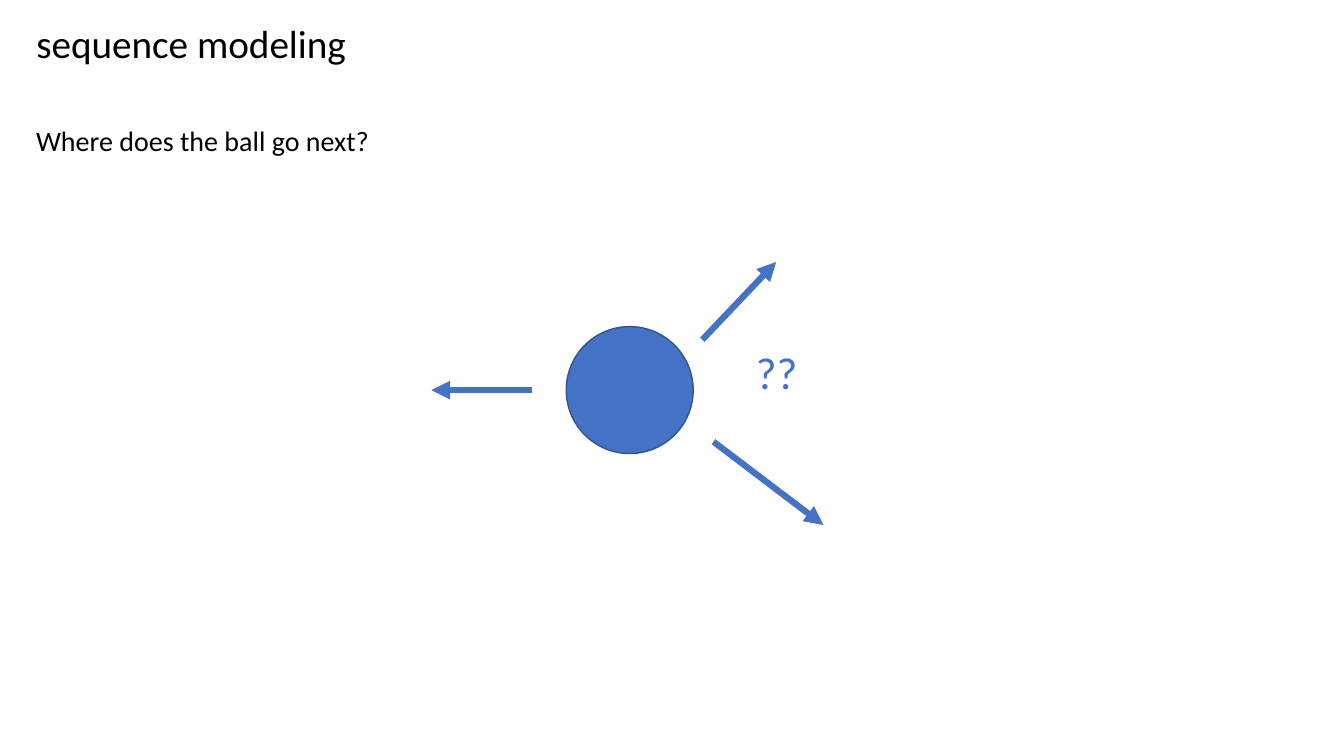
from dataclasses import dataclass

from pptx import Presentation
from pptx.dml.color import RGBColor
from pptx.enum.shapes import MSO_CONNECTOR, MSO_SHAPE
from pptx.enum.text import MSO_ANCHOR, PP_ALIGN
from pptx.oxml.ns import qn
from pptx.slide import Slide
from pptx.text.text import TextFrame
from pptx.util import Cm, Pt
from lxml.etree import SubElement

BLACK = "000000"
BLUE = "4472C4"
DARK_BLUE = "325491"
FONT = "Calibri"


@dataclass
class Arrow:
    """Start and end points in centimetres."""
    start: tuple[float, float]
    end: tuple[float, float]


@dataclass
class Label:
    """Text with its left, top, width and height in centimetres."""
    text: str
    place: tuple[float, float, float, float]
    size: int
    color: str


TITLE = Label("sequence modeling", (0.66, 0.36, 32.64, 1.45), 28, BLACK)
LABELS = [
    Label("Where does the ball go next?", (0.66, 3, 31.22, 2.82), 20, BLACK),
    Label("??", (18.8, 8.56, 1.85, 1.63), 32, BLUE),
]
ARROWS = [
    Arrow((17.7, 8.56), (19.56, 6.6)),
    Arrow((17.98, 11.13), (20.75, 13.23)),
    Arrow((13.41, 9.83), (10.87, 9.83)),
]


def rgb(color: str) -> RGBColor:
    return RGBColor.from_string(color)


def write(frame: TextFrame, text: str, *, size: int, color: str) -> None:
    frame.word_wrap = True
    frame.vertical_anchor = MSO_ANCHOR.TOP
    para = frame.paragraphs[0]
    para.alignment = PP_ALIGN.LEFT
    span = para.add_run()
    span.text = text
    span.font.name = FONT
    span.font.size = Pt(size)
    span.font.color.rgb = rgb(color)


def add_title(page: Slide, label: Label) -> None:
    title = page.shapes.title
    title.left, title.top, title.width, title.height = map(Cm, label.place)
    write(title.text_frame, label.text, size=label.size, color=label.color)


def add_label(page: Slide, label: Label) -> None:
    box = page.shapes.add_textbox(*map(Cm, label.place))
    write(box.text_frame, label.text, size=label.size, color=label.color)


def add_ball(page: Slide, left: float, top: float, diameter: float) -> None:
    ball = page.shapes.add_shape(
        MSO_SHAPE.OVAL, Cm(left), Cm(top), Cm(diameter), Cm(diameter))
    ball.shadow.inherit = False
    ball.fill.solid()
    ball.fill.fore_color.rgb = rgb(BLUE)
    ball.line.color.rgb = rgb(DARK_BLUE)
    ball.line.width = Pt(1)


def add_arrow(page: Slide, arrow: Arrow) -> None:
    connector = page.shapes.add_connector(
        MSO_CONNECTOR.STRAIGHT, *map(Cm, arrow.start + arrow.end))
    connector.line.color.rgb = rgb(BLUE)
    connector.line.width = Pt(4.5)
    properties = connector._element.spPr
    SubElement(properties.find(qn("a:ln")), qn("a:tailEnd"), type="triangle")
    SubElement(properties, qn("a:effectLst"))


def main() -> None:
    deck = Presentation()
    deck.slide_width, deck.slide_height = Cm(33.87), Cm(19.05)
    page = deck.slides.add_slide(deck.slide_layouts.get_by_name("Title Only"))

    # Heading
    add_title(page, TITLE)

    # Ball and its possible directions
    add_ball(page, 14.27, 8.23, 3.2)
    for arrow in ARROWS:
        add_arrow(page, arrow)

    # Question and question marks
    for label in LABELS:
        add_label(page, label)

    deck.save("out.pptx")


if __name__ == "__main__":
    main()
